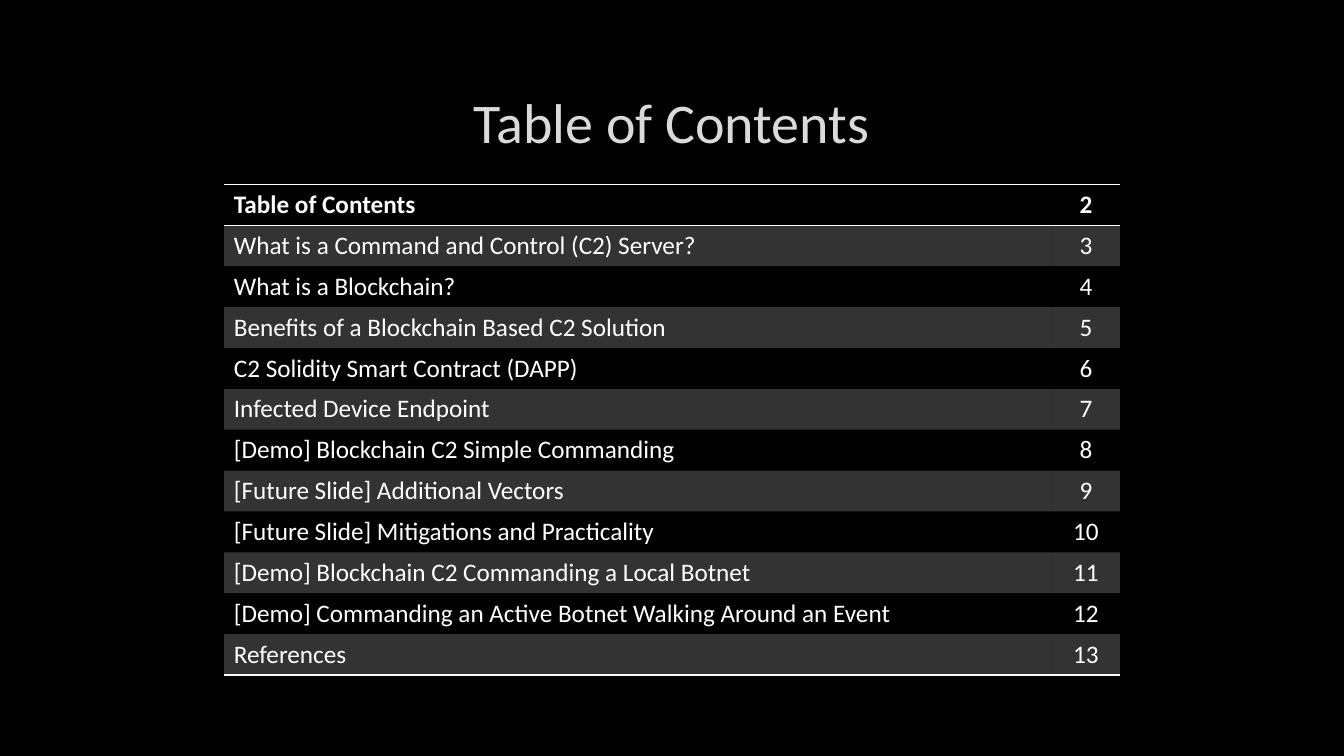
import pptx
import pptx.util
import pptx.dml.color
import pptx.enum.text
import pptx.oxml
import pptx.oxml.ns

Inches = pptx.util.Inches
Pt = pptx.util.Pt
Color = pptx.dml.color.RGBColor
Align = pptx.enum.text.PP_ALIGN
Anchor = pptx.enum.text.MSO_ANCHOR

BLACK = Color(0x00, 0x00, 0x00)
WHITE = Color(0xFF, 0xFF, 0xFF)
SILVER = Color(0xDA, 0xDA, 0xDA)
GREY = Color(0x40, 0x40, 0x40)
FONT = "Calibri"
NS = pptx.oxml.ns.nsdecls("a")

TOPICS = [
    "Table of Contents",
    "What is a Command and Control (C2) Server?",
    "What is a Blockchain?",
    "Benefits of a Blockchain Based C2 Solution",
    "C2 Solidity Smart Contract (DAPP)",
    "Infected Device Endpoint",
    "[Demo] Blockchain C2 Simple Commanding",
    "[Future Slide] Additional Vectors",
    "[Future Slide] Mitigations and Practicality",
    "[Demo] Blockchain C2 Commanding a Local Botnet",
    "[Demo] Commanding an Active Botnet Walking Around an Event",
    "References",
]
FIRST = 2  # page of the first topic
PAGE_W = 0.68


def write(para, text, size, color, bold=False, align=Align.LEFT):
    para.alignment = align
    run = para.add_run()
    run.text = text
    font = run.font
    font.name, font.size, font.bold = FONT, Pt(size), bold
    font.color.rgb = color
    return run


def make_line(tag, color=None, width=1, alpha=100):
    """Return a line element, unpainted when no color is given."""
    paint = "<a:noFill/>"
    if color is not None:
        paint = (f'<a:solidFill><a:srgbClr val="{color}">'
                 f'<a:alpha val="{alpha * 1000}"/></a:srgbClr></a:solidFill>')
    return pptx.oxml.parse_xml(
        f'<a:{tag} {NS} w="{Pt(width)}">{paint}</a:{tag}>')


def paint_cell(cell, band, top, base):
    """Fill a banded cell and rule its top or base edge."""
    if band:
        cell.fill.solid()
        cell.fill.fore_color.rgb = WHITE
        tint = cell._tc.tcPr.find(".//" + pptx.oxml.ns.qn("a:srgbClr"))
        tint.append(pptx.oxml.parse_xml(f'<a:alpha {NS} val="20000"/>'))
    else:
        cell.fill.background()
    edges = {"lnL": False, "lnR": False, "lnT": top, "lnB": base}
    for spot, (tag, ruled) in enumerate(edges.items()):
        line = make_line(tag, WHITE if ruled else None)
        cell._tc.tcPr.insert(spot, line)


def add_title(slide, left, top, width, height):
    box = slide.shapes.add_textbox(
        Inches(left), Inches(top), Inches(width), Inches(height))
    frame = box.text_frame
    frame.word_wrap = True
    frame.vertical_anchor = Anchor.MIDDLE
    run = write(frame.paragraphs[0], "Table of Contents", 40, SILVER,
                align=Align.CENTER)
    run.font._element.insert(0, make_line("ln", GREY, 0.75, 10))


def add_list(slide, left, top, width, height):
    count = len(TOPICS)
    table = slide.shapes.add_table(
        count, 2, Inches(left), Inches(top),
        Inches(width), Inches(height)).table
    table.horz_banding = False
    table.columns[0].width = Inches(width - PAGE_W)
    table.columns[1].width = Inches(PAGE_W)
    for row, topic in enumerate(TOPICS):
        table.rows[row].height = Inches(height / count)
        head = row == 0
        pairs = [(topic, Align.LEFT), (str(row + FIRST), Align.CENTER)]
        for col, (text, align) in enumerate(pairs):
            cell = table.cell(row, col)
            write(cell.text_frame.paragraphs[0], text, 18, WHITE, head, align)
            paint_cell(cell, band=row % 2 == 1, top=row in (0, 1),
                       base=row in (0, count - 1))


def main():
    deck = pptx.Presentation()
    deck.slide_width, deck.slide_height = Inches(13.33), Inches(7.5)
    slide = deck.slides.add_slide(deck.slide_layouts[6])
    slide.background.fill.solid()
    slide.background.fill.fore_color.rgb = BLACK
    add_title(slide, 1, 0.67, 11.32, 1.06)
    add_list(slide, 2.22, 1.83, 8.89, 4.87)
    deck.save("out.pptx")


if __name__ == "__main__":
    main()
